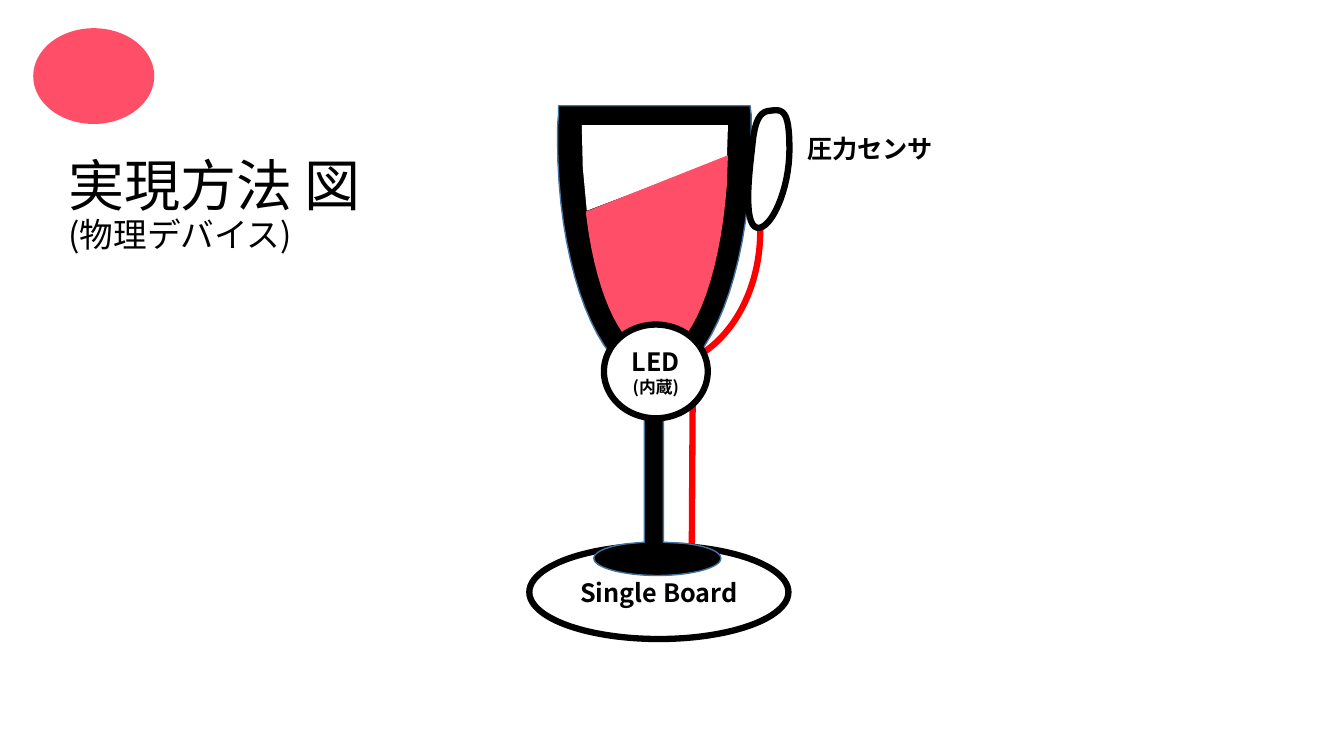
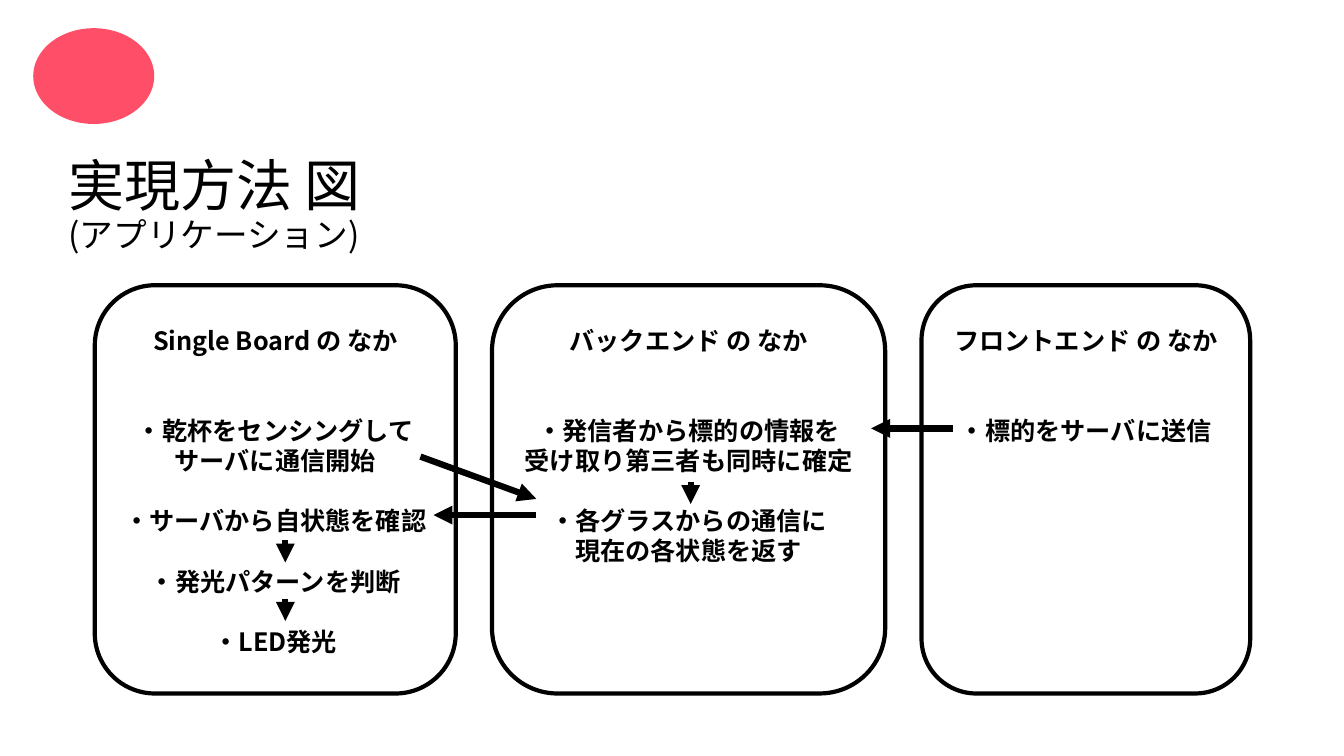
import pptx
import pptx.util
import pptx.dml.color
import pptx.enum.shapes
import pptx.enum.text
import pptx.oxml.ns
import lxml.etree

SHAPE = pptx.enum.shapes.MSO_SHAPE
ALIGN = pptx.enum.text.PP_ALIGN
ANCHOR = pptx.enum.text.MSO_ANCHOR
qn = pptx.oxml.ns.qn

FONT = "Noto Sans CJK JP"
BLACK, WHITE, RED, WINE, EDGE = "000000", "FFFFFF", "FF0000", "FF4F68", "43739E"
THICK = 4.5
SLIDE_W, SLIDE_H = 13.33, 7.5
ROW_PITCH = 21.5
PANEL_GAP = 0.36

GLASS = [(29, 11), (219, 11), (220, 20), (220, 28, 220, 36, 220, 45),
         (220, 160, 187, 256, 144, 279), (133, 281), (133, 444), (152, 445),
         (174, 447, 190, 453, 190, 460), (190, 469, 162, 477, 127, 477),
         (92, 477, 64, 469, 64, 460), (64, 453, 80, 447, 102, 445),
         (114, 444), (114, 281), (105, 279), (61, 256, 28, 160, 28, 45),
         (28, 36, 28, 28, 29, 20)]
AIR = [(52, 30), (197, 30), (196, 61), (107, 96), (57, 115), (53, 72)]
DRINK = [(197, 60), (196, 89), (189, 185, 160, 258, 125, 258),
         (94, 258, 67, 202, 57, 124), (56, 116)]
SENSOR = [(221, 52), (223, 32, 226, 17, 238, 16), (251, 14, 258, 14, 258, 54),
          (258, 94, 240, 134, 226, 132), (211, 129, 219, 71, 221, 52)]

PANELS = [
    (3.58, [(0, "Single Board の なか"), (3, "・乾杯をセンシングして"),
            (4, "サーバに通信開始"), (6, "・サーバから自状態を確認"),
            (8, "・発光パターンを判断"), (10, "・LED発光")]),
    (3.9, [(0, "バックエンド の なか"), (3, "・発信者から標的の情報を"),
           (4, "受け取り第三者も同時に確定"), (6, "・各グラスからの通信に"),
           (7, "現在の各状態を返す")]),
    (3.26, [(0, "フロントエンド の なか"), (3, "・標的をサーバに送信")]),
]
ARROWS = [(323, 170, 438, 212), (851, 142, 770, 142), (438, 228, 336, 228),
          (591, 195, 591, 217), (189, 253, 189, 275), (189, 311, 189, 333)]


def rgb(value):
    return pptx.dml.color.RGBColor.from_string(value)


def grid(box, cols, rows):
    x, y, w, h = box

    def place(left, top, *size):
        cells = [x + left * w / cols, y + top * h / rows]
        if size:
            cells += [size[0] * w / cols, size[1] * h / rows]
        return [pptx.util.Inches(cell) for cell in cells]
    return place


def paint(sp, fill=None, line=None, width=1):
    sp.shadow.inherit = False
    if fill:
        sp.fill.solid()
        sp.fill.fore_color.rgb = rgb(fill)
    else:
        sp.fill.background()
    if line:
        sp.line.color.rgb = rgb(line)
        sp.line.width = pptx.util.Pt(width)
    else:
        sp.line.fill.background()
    return sp


def shape(s, kind, place, fill=None, line=None, width=1):
    return paint(s.shapes.add_shape(kind, *place), fill, line, width)


def write(tf, lines, bold=True, align=ALIGN.CENTER):
    for i, (text, size, pitch, before) in enumerate(lines):
        p = tf.paragraphs[0] if i == 0 else tf.add_paragraph()
        p.text = text
        p.alignment = align
        p.line_spacing = pptx.util.Pt(pitch)
        p.space_before = pptx.util.Pt(before)
        p.font.name = FONT
        p.font.size = pptx.util.Pt(size)
        p.font.bold = bold
        p.font.color.rgb = rgb(BLACK)
        props = p._p.pPr.find(qn("a:defRPr"))
        east = lxml.etree.Element(qn("a:ea"), typeface=FONT)
        props.find(qn("a:latin")).addnext(east)


def label(sp, *lines):
    tf = sp.text_frame
    tf.word_wrap = True
    tf.vertical_anchor = ANCHOR.MIDDLE
    write(tf, [(text, size, size * 1.2, 0) for text, size in lines])


def flatten(outline, steps=16):
    points = [outline[0]]
    for part in outline[1:]:
        if len(part) == 2:
            points.append(part)
            continue
        start, controls = points[-1], (part[:2], part[2:4], part[4:])
        for k in range(1, steps + 1):
            t = k / steps
            u = 1 - t
            weights = (u ** 3, 3 * u * u * t, 3 * u * t * t, t ** 3)
            points.append(tuple(
                sum(q * c[axis] for q, c in zip(weights, (start, *controls)))
                for axis in (0, 1)))
    return points


def outline_shape(s, at, outline, fill, line=None, width=1):
    points = [at(*point) for point in flatten(outline)]
    builder = s.shapes.build_freeform(*points[0])
    builder.add_line_segments(points[1:], close=True)
    return paint(builder.convert_to_shape(), fill, line, width)


def connect(s, start, end, color, arrow=False):
    kind = pptx.enum.shapes.MSO_CONNECTOR.STRAIGHT
    c = s.shapes.add_connector(kind, *start, *end)
    c.line.color.rgb = rgb(color)
    c.line.width = pptx.util.Pt(THICK)
    if arrow:
        lxml.etree.SubElement(c.line._get_or_add_ln(), qn("a:tailEnd"), type="triangle")
    lxml.etree.SubElement(c._element.spPr, qn("a:effectLst"))


def titled_slide(prs, title, subtitle):
    s = prs.slides.add_slide(prs.slide_layouts[5])
    at = grid((0, 0, SLIDE_W, SLIDE_H), SLIDE_W, SLIDE_H)
    shape(s, SHAPE.OVAL, at(0.33, 0.28, 1.2, 0.95), WINE)
    sp = s.shapes.title
    sp.left, sp.top, sp.width, sp.height = at(0.58, 1.37, 4.04, 1.18)
    tf = sp.text_frame
    tf.word_wrap = True
    tf.auto_size = pptx.enum.text.MSO_AUTO_SIZE.NONE
    tf.vertical_anchor = ANCHOR.TOP
    write(tf, [(title, 40, 53, 0), (subtitle, 24, 26, 0)], False, ALIGN.LEFT)
    return s


def device(s, box):
    at = grid(box, 416, 540)
    connect(s, at(162, 307), at(161, 477), RED)
    wire = shape(s, SHAPE.ARC, at(20, 0, 209, 271), None, RED, THICK)
    wire.adjustments[0] = 212.69
    wire.adjustments[1] = 43.95
    board = shape(s, SHAPE.OVAL, at(0, 447, 257, 93), WHITE, BLACK, THICK)
    label(board, ("Single Board", 18))
    outline_shape(s, at, GLASS, BLACK, EDGE)
    outline_shape(s, at, AIR, WHITE)
    outline_shape(s, at, DRINK, WINE)
    led = shape(s, SHAPE.OVAL, at(74, 228, 103, 93), WHITE, BLACK, THICK)
    label(led, ("LED", 18), ("(内蔵)", 12))
    outline_shape(s, at, SENSOR, WHITE, BLACK, THICK)
    label(s.shapes.add_textbox(*at(260, 33, 156, 40)), ("圧力センサ", 18))


def panel(s, box, rows):
    sp = shape(s, SHAPE.ROUNDED_RECTANGLE, grid(box, 1, 1)(0, 0, 1, 1), None, BLACK, 3)
    tf = sp.text_frame
    tf.word_wrap = False
    tf.vertical_anchor = ANCHOR.TOP
    corner = min(box[2:]) * 0.1667 * 0.29
    tf.margin_top = pptx.util.Pt(28.5 - corner * 72)
    lines, previous = [], -1
    for row, text in rows:
        lines.append((text, 18, ROW_PITCH, (row - previous - 1) * ROW_PITCH))
        previous = row
    write(tf, lines)


def application(s, box):
    x, y, w, h = box
    for width, rows in PANELS:
        panel(s, (x, y, width, h), rows)
        x += width + PANEL_GAP
    at = grid(box, 1146, 405)
    for x1, y1, x2, y2 in ARROWS:
        connect(s, at(x1, y1), at(x2, y2), BLACK, True)


prs = pptx.Presentation()
prs.slide_width = pptx.util.Inches(SLIDE_W)
prs.slide_height = pptx.util.Inches(SLIDE_H)
device(titled_slide(prs, "実現方法 図", "(物理デバイス)"), (5.25, 0.94, 4.16, 5.4))
application(titled_slide(prs, "実現方法 図", "(アプリケーション)"), (0.94, 2.83, 11.46, 4.05))
prs.save("out.pptx")
